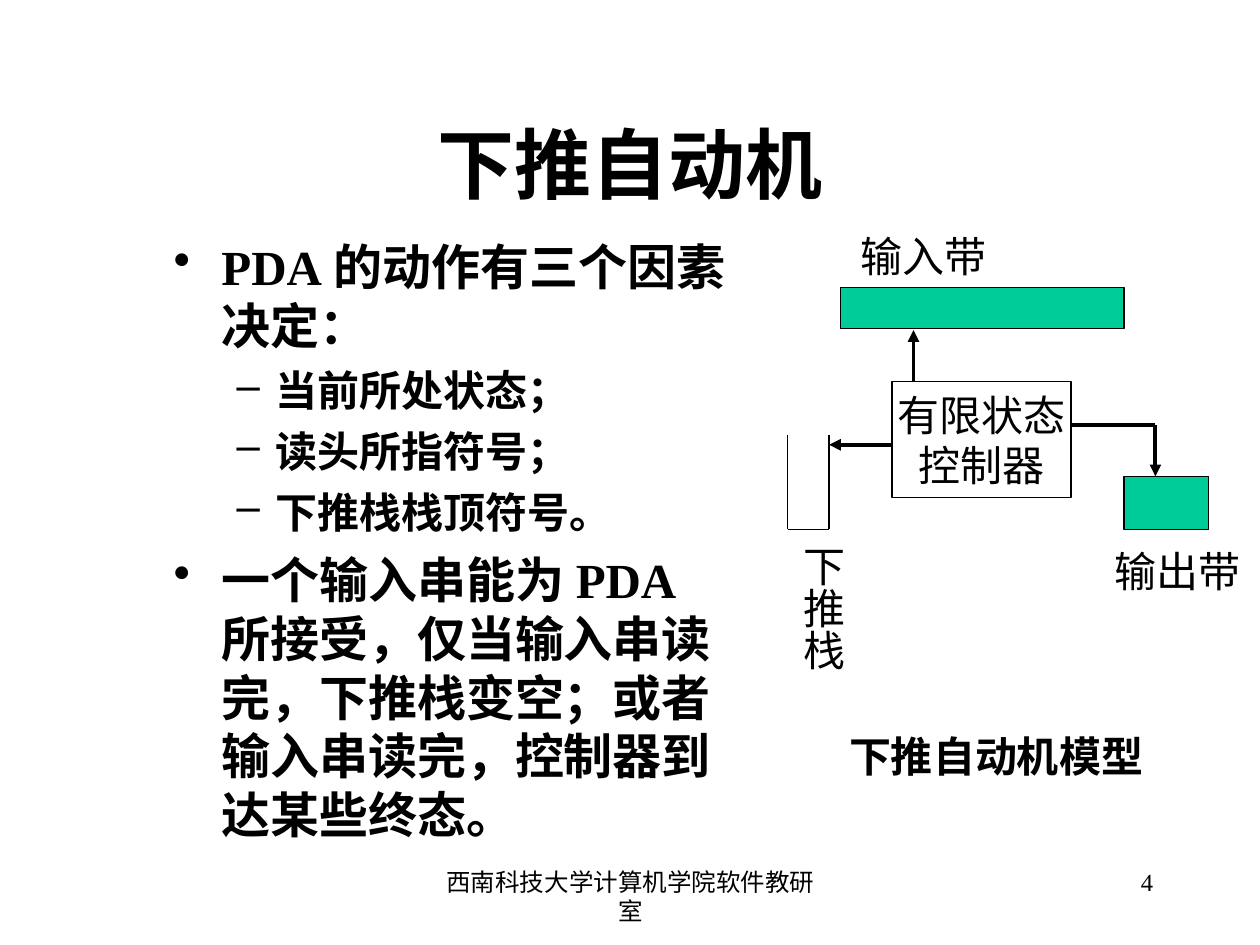
from lxml import etree
from pptx import Presentation
from pptx.dml.color import RGBColor
from pptx.enum.shapes import MSO_CONNECTOR, MSO_SHAPE
from pptx.enum.text import MSO_ANCHOR, MSO_AUTO_SIZE, PP_ALIGN
from pptx.oxml.ns import qn
from pptx.util import Inches, Pt

RECT, LINE = MSO_SHAPE.RECTANGLE, MSO_CONNECTOR.STRAIGHT
LEFT, CENTER, RIGHT = PP_ALIGN.LEFT, PP_ALIGN.CENTER, PP_ALIGN.RIGHT
TOP, MIDDLE = MSO_ANCHOR.TOP, MSO_ANCHOR.MIDDLE
FIT, FIXED = MSO_AUTO_SIZE.SHAPE_TO_FIT_TEXT, MSO_AUTO_SIZE.NONE
FONT = "Times New Roman"
COLORS = {"ink": "000000", "tape": "00CC99", "page": "FFFFFF"}
# Bullet mark, size, space before, left margin and hanging indent by level
LEVELS = [("•", 28, 7, 0.38, 0.38), ("–", 24, 6, 0.81, 0.31)]


def color(name):
    return RGBColor.from_string(COLORS[name])


def inches(*nums):
    return [Inches(n) for n in nums]


def style(para, size=24, bold=False, align=LEFT):
    para.alignment = align
    font = para.font
    font.name, font.size, font.bold = FONT, Pt(size), bold
    font.color.rgb = color("ink")


def write(shape, text, wrap=False, anchor=TOP, fit=FIXED, **form):
    frame = shape.text_frame
    frame.text = text
    frame.word_wrap, frame.vertical_anchor = wrap, anchor
    frame.auto_size = fit
    for para in frame.paragraphs:
        style(para, **form)
    return frame


def label(shapes, text, box, **form):
    return write(shapes.add_textbox(*inches(*box)), text, **form)


def block(shapes, box, fill=None):
    rect = shapes.add_shape(RECT, *inches(*box))
    rect.shadow.inherit = False
    if fill:
        rect.fill.solid()
        rect.fill.fore_color.rgb = color(fill)
    else:
        rect.fill.background()
    rect.line.color.rgb = color("ink")
    rect.line.width = Pt(0.75)
    return rect


def link(shapes, ends, width=2.25, arrow=False):
    line = shapes.add_connector(LINE, *inches(*ends))
    line.line.color.rgb = color("ink")
    line.line.width = Pt(width)
    props = line._element.spPr
    if arrow:
        etree.SubElement(props.find(qn("a:ln")), qn("a:tailEnd"), type="triangle")
    etree.SubElement(props, qn("a:effectLst"))


def title(slide, box, text):
    head = slide.shapes.title
    head.left, head.top, head.width, head.height = inches(*box)
    write(head, text, wrap=True, anchor=MIDDLE, size=44, bold=True, align=CENTER)


def body(shapes, box, items):
    text = "\n".join(words for _, words in items)
    frame = label(shapes, text, box, wrap=True)
    for i, (para, (level, _)) in enumerate(zip(frame.paragraphs, items)):
        mark, size, space, margin, hang = LEVELS[level]
        props = para._p.get_or_add_pPr()
        props.set("marL", str(Inches(margin)))
        props.set("indent", str(-Inches(hang)))
        bullet = etree.Element(qn("a:buChar"), char=mark)
        props.insert(0, bullet)
        para.level = level
        para.space_before = Pt(space if i else 0)
        style(para, size=size, bold=True)


def model(shapes, x, y):
    def at(dx, dy, w, h):
        return x + dx, y + dy, w, h

    def path(x1, y1, x2, y2):
        return x + x1, y + y1, x + x2, y + y2

    # Tapes and controller
    block(shapes, at(0.42, 0.5, 2.25, 0.33), "tape")
    block(shapes, at(2.67, 2, 0.67, 0.42), "tape")
    unit = block(shapes, at(0.83, 1.25, 1.42, 0.92))
    write(unit, "有限状态\n控制器", anchor=MIDDLE, align=CENTER)

    # Open stack
    for ends in [(0, 1.67, 0, 2.42), (0.33, 1.67, 0.33, 2.42), (0, 2.42, 0.33, 2.42)]:
        link(shapes, path(*ends), width=0.75)

    # Moves of the controller
    link(shapes, path(1, 1.25, 1, 0.84), arrow=True)
    link(shapes, path(0.83, 1.75, 0.33, 1.75), arrow=True)
    link(shapes, path(2.25, 1.59, 2.92, 1.59))
    link(shapes, path(2.92, 1.59, 2.92, 2), arrow=True)

    # Labels and caption
    label(shapes, "输入带", at(0.48, 0, 1.2, 0.5), fit=FIT)
    label(shapes, "输出带", at(2.5, 2.5, 1.2, 0.5), fit=FIT)
    label(shapes, "下推自动机模型", at(0.39, 3.97, 2.53, 0.5), fit=FIT, bold=True)
    stack = label(shapes, "下推栈", at(-0.07, 2.45, 0.6, 1.1), fit=FIT)
    stack._txBody.bodyPr.set("vert", "eaVert")
    stack.margin_left = stack.margin_right = Inches(0.05)
    stack.margin_top = stack.margin_bottom = Inches(0.1)


def footer(shapes, y):
    label(shapes, "西南科技大学计算机学院软件教研室", (3.42, y, 3.17, 0.5),
          wrap=True, size=14, align=CENTER)
    label(shapes, "4", (7.17, y, 2.08, 0.5), wrap=True, size=14, align=RIGHT)


def main():
    deck = Presentation()
    deck.slide_width, deck.slide_height = inches(10, 7.5)
    slide = deck.slides.add_slide(deck.slide_layouts[5])
    slide.background.fill.solid()
    slide.background.fill.fore_color.rgb = color("page")
    title(slide, (0.75, 0.67, 8.5, 1.25), "下推自动机")
    body(slide.shapes, (1.28, 1.83, 4.63, 5), [
        (0, "PDA的动作有三个因素决定："),
        (1, "当前所处状态；"),
        (1, "读头所指符号；"),
        (1, "下推栈栈顶符号。"),
        (0, "一个输入串能为PDA所接受，仅当输入串读完，下推栈变空；或者输入串读完，控制器到达某些终态。"),
    ])
    model(slide.shapes, 6.25, 1.78)
    footer(slide.shapes, 6.83)
    deck.save("out.pptx")


if __name__ == "__main__":
    main()
